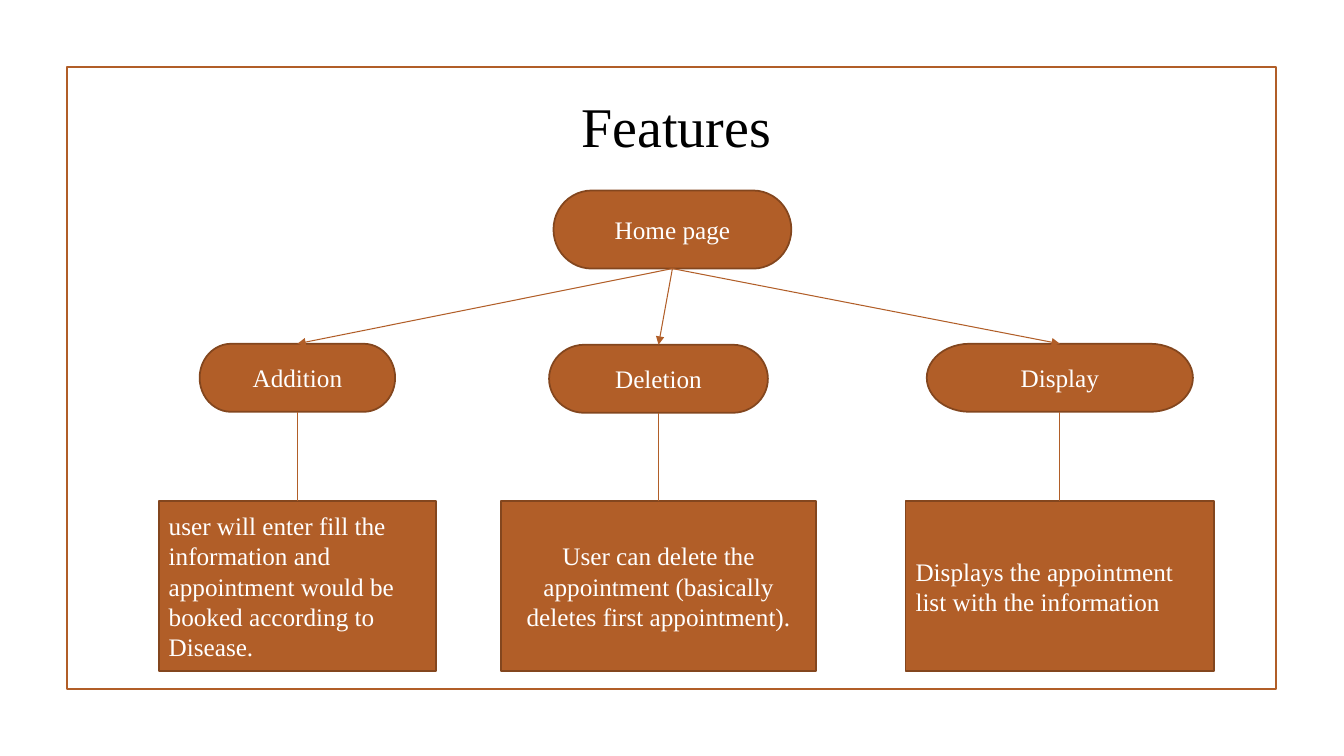
from pptx import Presentation
from pptx.dml.color import RGBColor
from pptx.enum.shapes import MSO_CONNECTOR, MSO_SHAPE
from pptx.enum.text import MSO_ANCHOR, MSO_AUTO_SIZE, PP_ALIGN
from pptx.oxml.ns import qn
from pptx.util import Inches, Pt
from lxml import etree

FRAME = MSO_SHAPE.RECTANGLE
TERMINATOR = MSO_SHAPE.FLOWCHART_TERMINATOR
PROCESS = MSO_SHAPE.FLOWCHART_PROCESS
STRAIGHT = MSO_CONNECTOR.STRAIGHT
MIDDLE = MSO_ANCHOR.MIDDLE
GROW = MSO_AUTO_SIZE.SHAPE_TO_FIT_TEXT
LEFT, CENTER = PP_ALIGN.LEFT, PP_ALIGN.CENTER
TOP_SITE, BOTTOM_SITE = 0, 2

COLORS = {"rust": "B15E28", "edge": "83461E", "title": "000000", "label": "FFFFFF"}
FONT = "Times New Roman"

BRANCHES = [
    ("Addition", 22.13, 14.55, 45.47, 20.63, LEFT,
     "user will enter fill the information and appointment would be booked according to Disease."),
    ("Deletion", 49, 16.28, 45.6, 23.4, CENTER,
     "User can delete the appointment (basically deletes first appointment)."),
    ("Display", 78.86, 19.8, 45.47, 22.95, LEFT,
     "Displays the appointment list with the information"),
]


class FeatureSlide:
    """Draws styled elements on one slide, with lengths in percent of its size."""

    def __init__(self, deck):
        self.width, self.height = deck.slide_width, deck.slide_height
        self.shapes = deck.slides.add_slide(deck.slide_layouts[6]).shapes

    def area(self, left, top, width, height):
        return (round(self.width * left / 100), round(self.height * top / 100),
                round(self.width * width / 100), round(self.height * height / 100))

    def add_text(self, frame, text, size, color, align):
        paragraph = frame.paragraphs[0]
        paragraph.alignment = align
        run = paragraph.add_run()
        run.text = text
        run.font.name = FONT
        run.font.size = Pt(size)
        run.font.color.rgb = RGBColor.from_string(COLORS[color])

    def outline(self, kind, left, top, width, height, color):
        shape = self.shapes.add_shape(kind, *self.area(left, top, width, height))
        shape.shadow.inherit = False
        shape.fill.background()
        shape.line.color.rgb = RGBColor.from_string(COLORS[color])
        shape.line.width = Pt(1.25)
        return shape

    def title(self, text, left, top, width, height):
        heading = self.shapes.add_textbox(*self.area(left, top, width, height)).text_frame
        heading.word_wrap = True
        heading.auto_size = GROW
        self.add_text(heading, text, 40, "title", LEFT)

    def node(self, kind, text, center, top, width, height, align=CENTER):
        shape = self.outline(kind, center - width / 2, top, width, height, "edge")
        shape.fill.solid()
        shape.fill.fore_color.rgb = RGBColor.from_string(COLORS["rust"])
        shape.text_frame.word_wrap = True
        shape.text_frame.vertical_anchor = MIDDLE
        self.add_text(shape.text_frame, text, 18, "label", align)
        return shape

    def link(self, upper, lower, arrow=False):
        link = self.shapes.add_connector(STRAIGHT, 0, 0, 0, 0)
        link.begin_connect(upper, BOTTOM_SITE)
        link.end_connect(lower, TOP_SITE)
        link.line.color.rgb = RGBColor.from_string(COLORS["rust"])
        link.line.width = Pt(0.75)
        properties = link._element.spPr
        if arrow:
            etree.SubElement(properties.find(qn("a:ln")), qn("a:tailEnd"), type="triangle")
        etree.SubElement(properties, qn("a:effectLst"))


def main():
    deck = Presentation()
    deck.slide_width, deck.slide_height = Inches(13.33), Inches(7.5)
    features = FeatureSlide(deck)

    features.outline(FRAME, 4.97, 8.9, 90, 82.25, "rust")
    features.title("Features", 42.53, 11.47, 17.7, 10.27)
    home = features.node(TERMINATOR, "Home page", 50.03, 25.2, 17.7, 10.33)

    for name, center, name_width, top, detail_width, align, detail in BRANCHES:
        feature = features.node(TERMINATOR, name, center, top, name_width, 9)
        description = features.node(PROCESS, detail, center, 66.27, detail_width, 22.53, align)
        features.link(home, feature, arrow=True)
        features.link(feature, description)

    deck.save("out.pptx")


if __name__ == "__main__":
    main()
